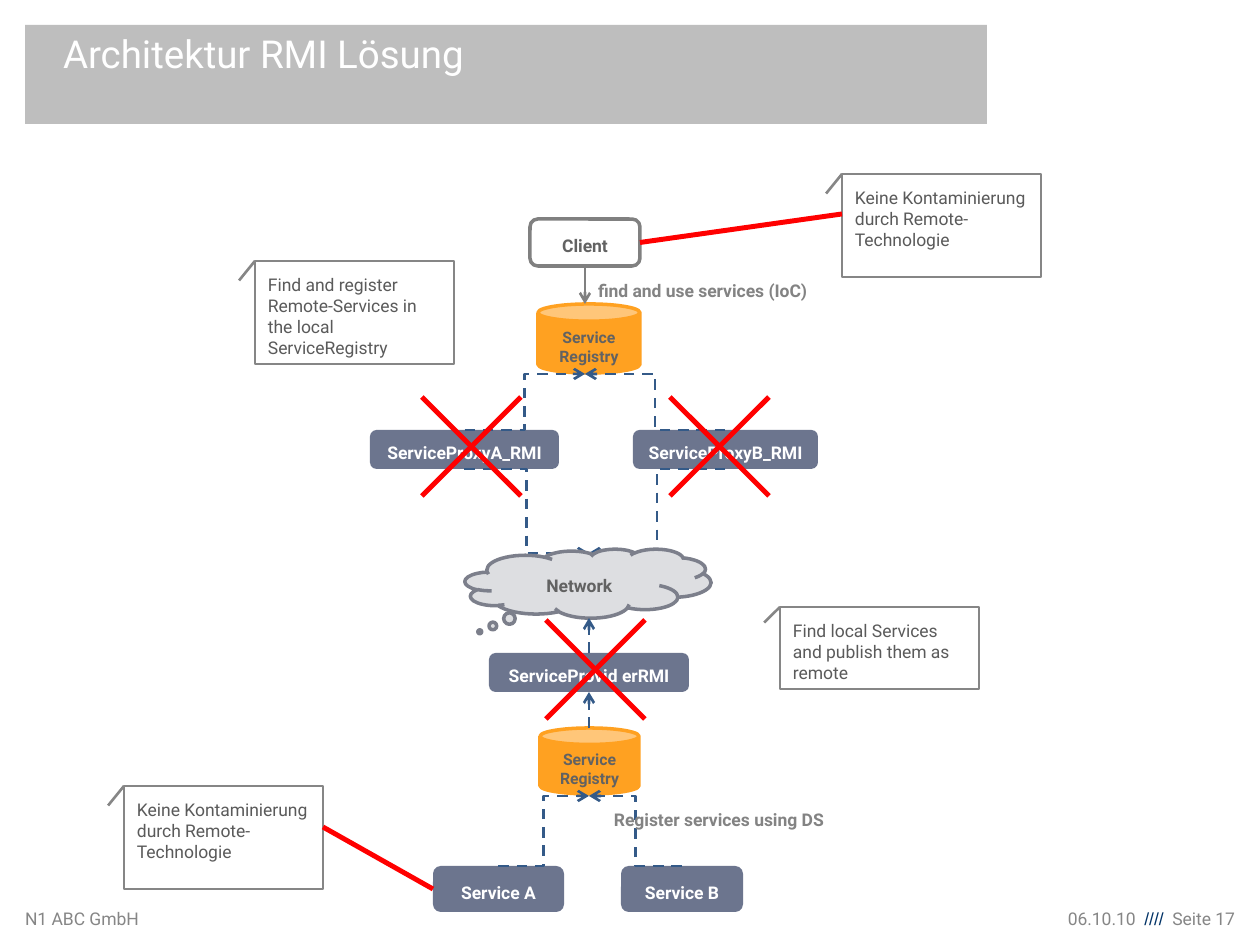
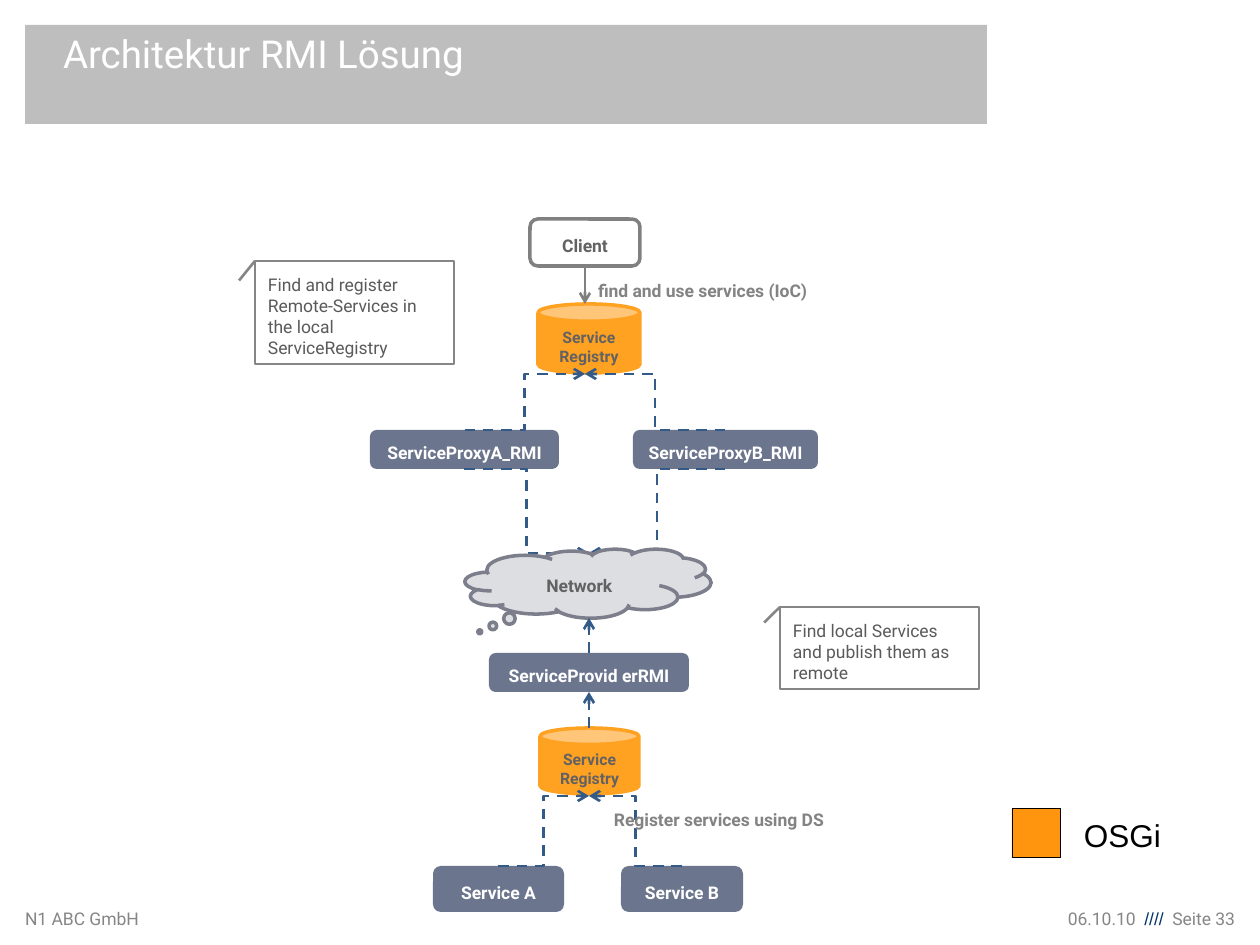
"""Builds two slides on the architecture of an RMI solution."""
import pptx
import pptx.dml.color
import pptx.enum.dml
import pptx.enum.shapes
import pptx.enum.text
import pptx.oxml
import pptx.oxml.ns
import pptx.util

SHAPE = pptx.enum.shapes.MSO_SHAPE
CONNECTOR = pptx.enum.shapes.MSO_CONNECTOR
ALIGN = pptx.enum.text.PP_ALIGN
ANCHOR = pptx.enum.text.MSO_ANCHOR
TOP, LEFT, BOTTOM, RIGHT = range(4)
PX_PER_INCH = 126
FONT, LEGEND_FONT = "Roboto", "Arial"
COLORS = {
    "band": "BEBEBE", "white": "FFFFFF", "black": "000000", "footer": "868686",
    "slashes": "003266", "client": "808080", "registry": "FFA121",
    "service": "6C758E", "cloud": "DDDEE1", "cloud_edge": "7C7F8B",
    "node_text": "626262", "note_text": "5A5A5A", "label": "838383",
    "link": "345A88", "mark": "FF0000", "legend": "FF950E",
}

TITLE = "Architektur RMI Lösung"
COMPANY, DATE = "N1 ABC GmbH", "06.10.10"
STYLES = {
    "client": (SHAPE.ROUNDED_RECTANGLE, "white", "client", "node_text", 10),
    "registry": (SHAPE.CAN, "registry", "registry", "node_text", 9),
    "service": (SHAPE.ROUNDED_RECTANGLE, "service", None, "white", 10),
    "cloud": (SHAPE.CLOUD_CALLOUT, "cloud", "cloud_edge", "node_text", 10),
}
NODES = {
    "client": ("client", "Client", (530, 219, 110, 47)),
    "lower_registry": ("registry", "Service Registry", (540, 728, 99, 66)),
    "service_a": ("service", "Service A", (433, 866, 131, 46)),
    "service_b": ("service", "Service B", (621, 866, 122, 46)),
    "upper_registry": ("registry", "Service Registry", (538, 304, 102, 69)),
    "proxy_a": ("service", "ServiceProxyA_RMI", (370, 430, 189, 39)),
    "proxy_b": ("service", "ServiceProxyB_RMI", (633, 430, 185, 39)),
    "provider": ("service", "ServiceProvid erRMI", (489, 653, 200, 39)),
}
NETWORK = ("cloud", "Network", (465, 549, 246, 69))
ELBOWS = [
    ("service_a", TOP, (589, 796)), ("service_b", TOP, (589, 796)),
    ("proxy_a", TOP, (585, 374)), ("proxy_b", TOP, (585, 374)),
    ("proxy_a", BOTTOM, (589, 553)), ("proxy_b", BOTTOM, (589, 553)),
]
LABELS = [
    ("Register services using DS", (601, 796, 252, 60)),
    ("find and use services (IoC)", (585, 267, 297, 40)),
]
NOTES = [
    ("Find local Services and publish them as remote", (780, 607, 199, 82)),
    ("Find and register Remote-Services in the local ServiceRegistry",
     (255, 261, 199, 103)),
]
CLEAN = "Keine Kontaminierung durch Remote-Technologie"
CLEAN_NOTES = [
    (CLEAN, (842, 174, 199, 103), (842, 214), "client", RIGHT),
    (CLEAN, (124, 786, 199, 103), (323, 827), "service_a", LEFT),
]
CROSSES, CROSS_SIZE = [(422, 397), (670, 397), (546, 620)], 99
SLIDES = [{"page": 17, "marked": True}, {"page": 33, "marked": False}]


def px(length):
    return pptx.util.Emu(round(length * 914400 / PX_PER_INCH))


def rgb(name):
    return pptx.dml.color.RGBColor.from_string(COLORS[name])


def write(item, runs, size, bold=False, align=ALIGN.LEFT, anchor=ANCHOR.TOP,
          insets=(13, 13, 13, 6)):
    """Fill item with one paragraph of (text, colour, font) runs."""
    frame = item.text_frame
    frame.word_wrap = True
    frame.vertical_anchor = anchor
    (frame.margin_left, frame.margin_top,
     frame.margin_right, frame.margin_bottom) = map(px, insets)
    paragraph = frame.paragraphs[0]
    paragraph.alignment = align
    for text, color, font in runs:
        run = paragraph.add_run()
        run.text = text
        run.font.name, run.font.size, run.font.bold = font, pptx.util.Pt(size), bold
        run.font.color.rgb = rgb(color)
    return paragraph


def add_box(slide, kind, place, fill=None, edge=None, width=2):
    box = slide.shapes.add_shape(kind, *map(px, place))
    box.shadow.inherit = False
    if fill:
        box.fill.solid()
        box.fill.fore_color.rgb = rgb(fill)
    else:
        box.fill.background()
    if edge:
        box.line.color.rgb = rgb(edge)
        box.line.width = pptx.util.Pt(width)
    else:
        box.line.fill.background()
    return box


def add_text(slide, place, runs, size, **options):
    write(slide.shapes.add_textbox(*map(px, place)), runs, size, **options)


def add_node(slide, style, text, place):
    kind, fill, edge, color, size = STYLES[style]
    node = add_box(slide, kind, place, fill, edge)
    write(node, [(text, color, FONT)], size, True, ALIGN.CENTER, ANCHOR.MIDDLE)
    return node


def add_note(slide, text, place):
    note = add_box(slide, SHAPE.LINE_CALLOUT_1, place, edge="footer", width=1.5)
    for index, value in enumerate((0.19, -0.08, 0, 0)):
        note.adjustments[index] = value
    write(note, [(text, "note_text", FONT)], 10)


def add_line(slide, start, end, color, width=1.5, kind=CONNECTOR.STRAIGHT,
             dashed=False, arrow=False):
    line = slide.shapes.add_connector(kind, *map(px, start + end))
    line.line.color.rgb = rgb(color)
    line.line.width = pptx.util.Pt(width)
    if dashed:
        line.line.dash_style = pptx.enum.dml.MSO_LINE.DASH
    if arrow:
        tail = pptx.oxml.parse_xml(
            f'<a:tailEnd {pptx.oxml.ns.nsdecls("a")} type="arrow"/>')
        line.line._get_or_add_ln().append(tail)
    properties = line._element.spPr
    properties.append(
        pptx.oxml.parse_xml(f'<a:effectLst {pptx.oxml.ns.nsdecls("a")}/>'))
    return line


def side(name, position):
    """Return the middle of one side of a node."""
    x, y, width, height = NODES[name][2]
    return {TOP: (x + width / 2, y), LEFT: (x, y + height / 2),
            BOTTOM: (x + width / 2, y + height),
            RIGHT: (x + width, y + height / 2)}[position]


def add_frame(slide, page):
    add_text(slide, (966, 908, 269, 24),
             [(f"{DATE}  ", "footer", FONT), ("////", "slashes", LEGEND_FONT),
              (f"  Seite {page}", "footer", FONT)],
             10, align=ALIGN.RIGHT, insets=(0, 0, 0, 0))
    add_text(slide, (25, 908, 248, 22), [(COMPANY, "footer", FONT)], 10,
             insets=(0, 0, 0, 0))
    band = add_box(slide, SHAPE.RECTANGLE, (25, 25, 962, 99), "band")
    title = write(band, [(TITLE, "white", FONT)], 22, insets=(38, 13, 13, 6))
    title.line_spacing = pptx.util.Pt(22)


def add_architecture(slide):
    nodes = {name: add_node(slide, *node) for name, node in NODES.items()}
    for name, position, target in ELBOWS:
        add_line(slide, side(name, position), target, "link",
                 kind=CONNECTOR.ELBOW, dashed=True, arrow=True)
    cloud = add_node(slide, *NETWORK)
    cloud.adjustments[0], cloud.adjustments[1] = -0.44, 0.7
    for text, place in LABELS:
        add_text(slide, place, [(text, "label", FONT)], 10, bold=True)
    publish = add_line(slide, side("provider", TOP), (589, 618), "link",
                       dashed=True, arrow=True)
    publish.begin_connect(nodes["provider"], TOP)
    find = add_line(slide, (589, 728), side("provider", BOTTOM), "link",
                    dashed=True, arrow=True)
    find.end_connect(nodes["provider"], BOTTOM)
    use = add_line(slide, side("client", BOTTOM), (585, 304), "client", arrow=True)
    use.begin_connect(nodes["client"], BOTTOM)
    for text, place in NOTES:
        add_note(slide, text, place)
    return nodes


def add_marks(slide, nodes):
    for x, y in CROSSES:
        right, bottom = x + CROSS_SIZE, y + CROSS_SIZE
        add_line(slide, (x, y), (right, bottom), "mark", 2.83)
        add_line(slide, (right, y), (x, bottom), "mark", 2.83)
    for text, place, start, name, position in CLEAN_NOTES:
        add_note(slide, text, place)
        pointer = add_line(slide, start, side(name, position), "mark", 2.83)
        pointer.end_connect(nodes[name], position)


def add_legend(slide):
    add_box(slide, SHAPE.RECTANGLE, (1012, 809, 49, 49), "legend", "black", 0.5)
    add_text(slide, (1071, 810, 130, 48), [("OSGi", "black", LEGEND_FONT)], 18,
             insets=(13, 6, 13, 6))


def main():
    deck = pptx.Presentation()
    deck.slide_width, deck.slide_height = px(1260), px(945)
    for content in SLIDES:
        slide = deck.slides.add_slide(deck.slide_layouts[6])
        add_frame(slide, content["page"])
        nodes = add_architecture(slide)
        if content["marked"]:
            add_marks(slide, nodes)
        else:
            add_legend(slide)
    deck.save("out.pptx")


if __name__ == "__main__":
    main()
